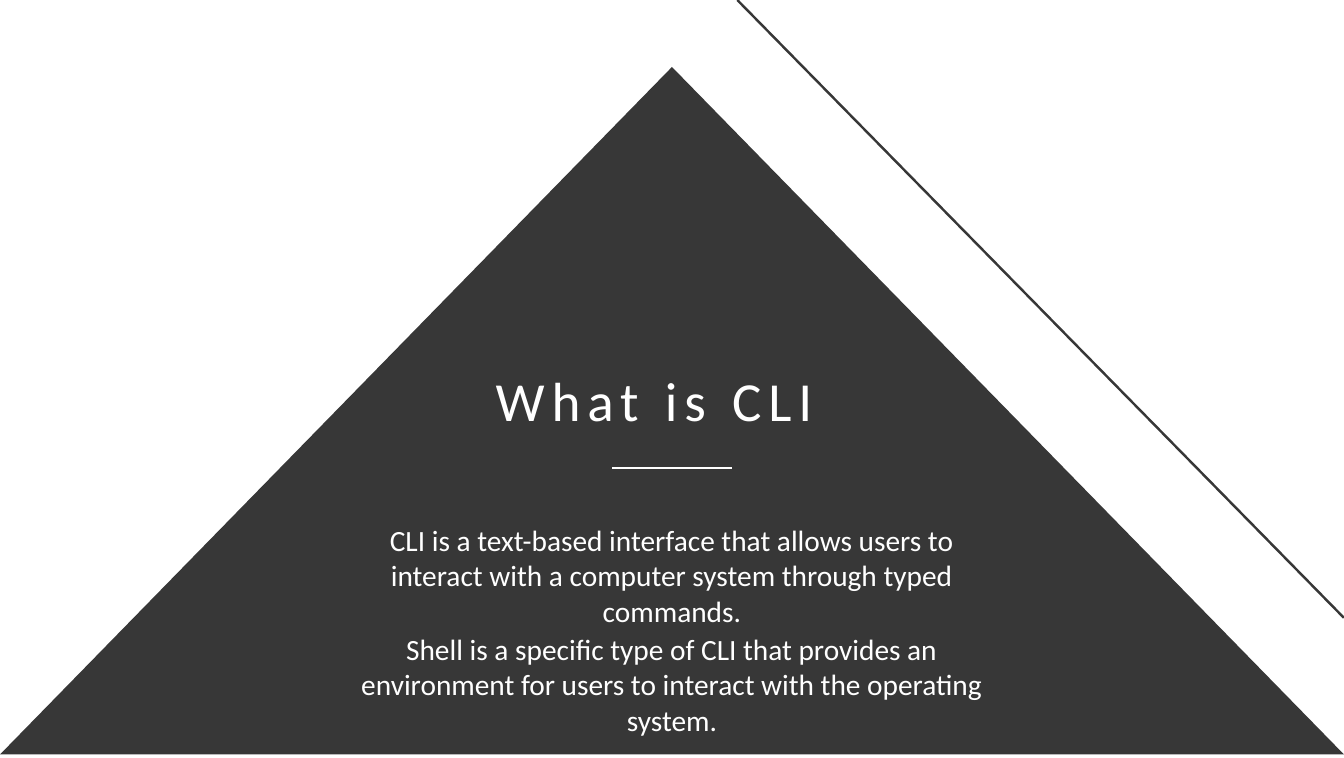
import pptx
import pptx.util
import pptx.dml.color
import pptx.enum.shapes
import pptx.enum.text
import pptx.oxml.ns
import lxml.etree

CHARCOAL = pptx.dml.color.RGBColor(0x37, 0x37, 0x37)
WHITE = pptx.dml.color.RGBColor(0xFF, 0xFF, 0xFF)
SLIDE_WIDTH = pptx.util.Inches(7.62)
SLIDE_HEIGHT = pptx.util.Inches(4.3)
FONT = "Calibri"
TITLE = "What is CLI"
DEFINITIONS = [
    "CLI is a text-based interface that allows users to interact with a computer system through typed commands.",
    "Shell is a specific type of CLI that provides an environment for users to interact with the operating system.",
]


def across(percent):
    return pptx.util.Emu(round(SLIDE_WIDTH * percent / 100))


def down(percent):
    return pptx.util.Emu(round(SLIDE_HEIGHT * percent / 100))


def area(left, top, width, height):
    return across(left), down(top), across(width), down(height)


def paint(shape, color):
    shape.fill.solid()
    shape.fill.fore_color.rgb = color
    shape.line.fill.background()
    shape.shadow.inherit = False


def add_pyramid(slide):
    pyramid = slide.shapes.add_shape(
        pptx.enum.shapes.MSO_SHAPE.ISOSCELES_TRIANGLE, *area(0, 8.84, 100, 90.7)
    )
    paint(pyramid, CHARCOAL)


def add_corner(slide):
    outline = slide.shapes.build_freeform(0, down(82.09))
    outline.add_line_segments([(0, 0), (across(44.88), 0)], close=True)
    paint(outline.convert_to_shape(), WHITE)


def add_rule(slide, start, end, color, weight):
    rule = slide.shapes.add_connector(
        pptx.enum.shapes.MSO_CONNECTOR.STRAIGHT,
        across(start[0]), down(start[1]), across(end[0]), down(end[1]),
    )
    rule.line.color.rgb = color
    rule.line.width = pptx.util.Pt(weight)
    properties = rule.element.find(pptx.oxml.ns.qn("p:spPr"))
    lxml.etree.SubElement(properties, pptx.oxml.ns.qn("a:effectLst"))


def add_text(slide, place, paragraphs, size, align, leading=1.0, tracking=0):
    frame = slide.shapes.add_textbox(*area(*place)).text_frame
    frame.word_wrap = True
    frame.margin_left = frame.margin_right = frame.margin_bottom = 0
    frame.margin_top = pptx.util.Inches(0.01)
    frame.text = "\n".join(paragraphs)
    for paragraph in frame.paragraphs:
        paragraph.alignment = align
        paragraph.line_spacing = leading
        paragraph.space_before = pptx.util.Pt(0.8)
        for run in paragraph.runs:
            run.font.name = FONT
            run.font.size = pptx.util.Pt(size)
            run.font.color.rgb = WHITE
            if tracking:
                run.font._element.set("spc", str(round(tracking * 100)))


def main():
    deck = pptx.Presentation()
    deck.slide_width = SLIDE_WIDTH
    deck.slide_height = SLIDE_HEIGHT
    slide = deck.slides.add_slide(deck.slide_layouts[6])
    slide.background.fill.solid()
    slide.background.fill.fore_color.rgb = WHITE

    add_pyramid(slide)
    add_corner(slide)
    alignment = pptx.enum.text.PP_ALIGN
    add_text(slide, (36.88, 48.14, 24.54, 9.07), [TITLE], 22.5, alignment.LEFT, tracking=2.8)
    add_text(slide, (25.46, 68.6, 49.08, 28.84), DEFINITIONS, 12, alignment.CENTER, leading=1.01)
    add_rule(slide, (54.86, 0), (100, 81.51), CHARCOAL, 1)
    add_rule(slide, (45.54, 61.74), (54.46, 61.74), WHITE, 0.75)
    deck.save("out.pptx")


if __name__ == "__main__":
    main()
